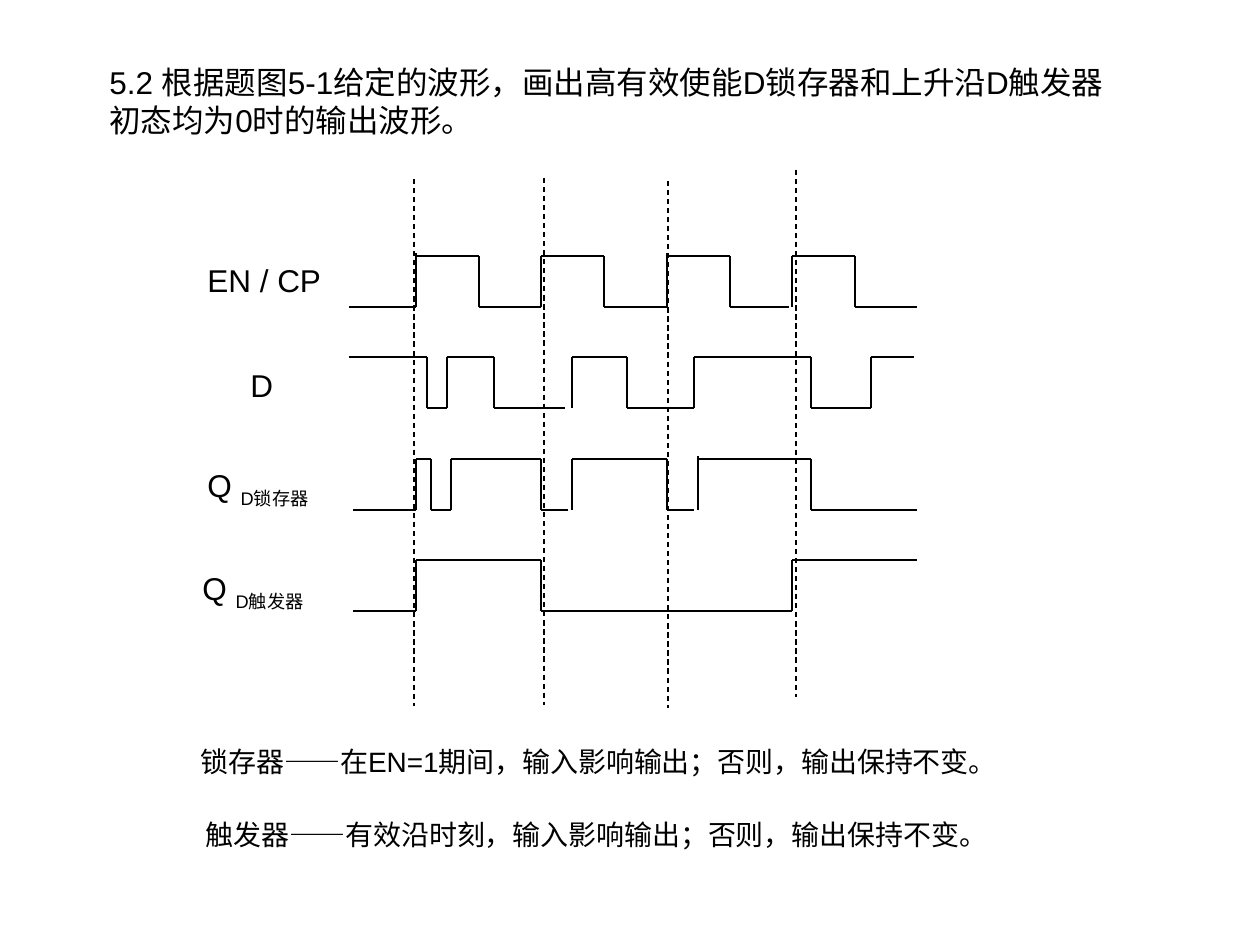
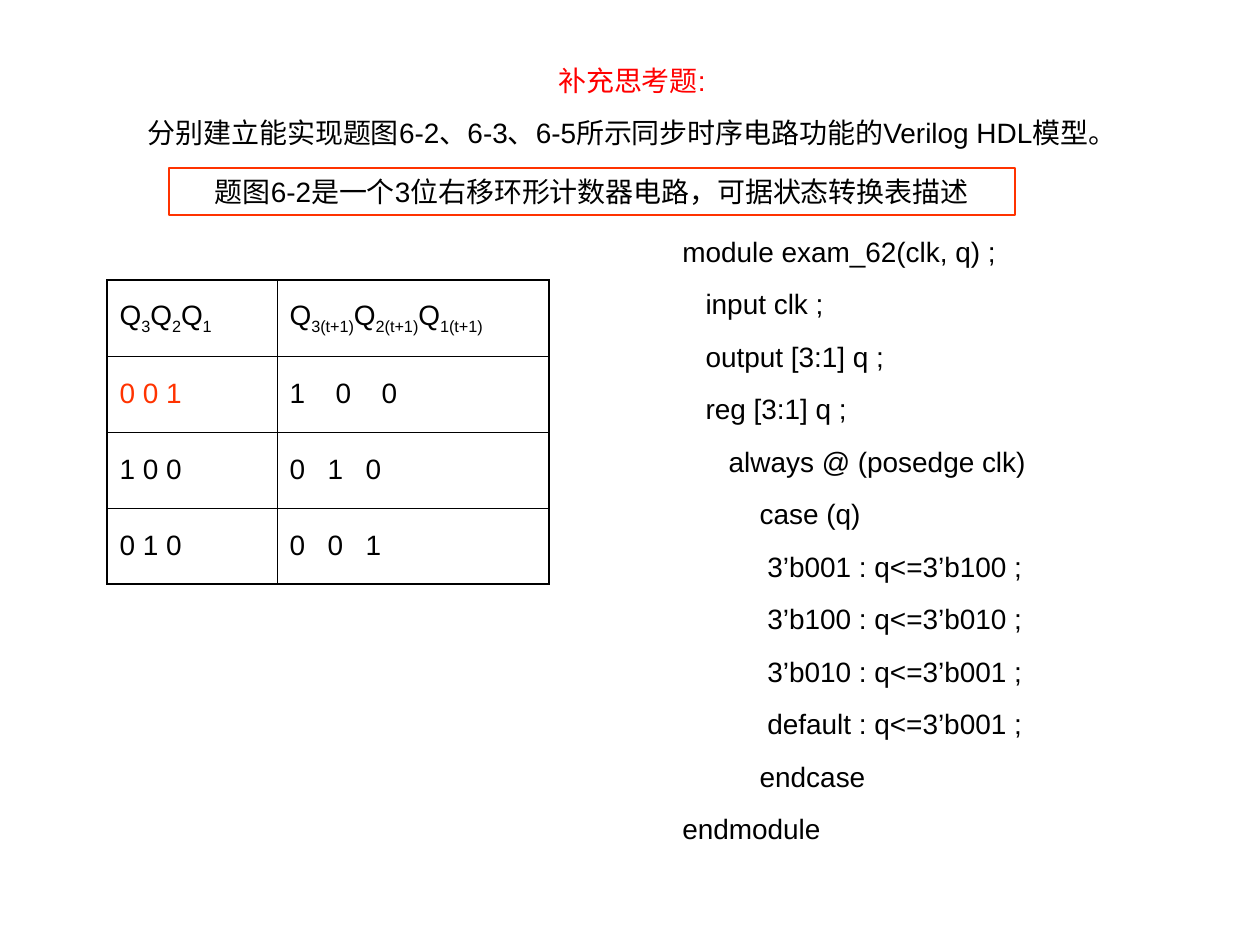
from lxml import etree
from pptx import Presentation, util as u
from pptx.dml.color import RGBColor
from pptx.enum import dml, shapes, text
from pptx.oxml.ns import qn

BLACK = RGBColor(0x00, 0x00, 0x00)
RED = RGBColor(0xFF, 0x00, 0x00)
ORANGE = RGBColor(0xFF, 0x33, 0x00)
FACE = "Arial"
EMU = 914400 / 126  # one px
MID = text.PP_ALIGN.CENTER

# Slide 1: words; in a tuple every second part is a subscript
TASK = "5.2 根据题图5-1给定的波形，画出高有效使能D锁存器和上升沿D触发器初态均为0时的输出波形。"
NOTES = [
    ((170, 738, 858, 47), "锁存器——在EN=1期间，输入影响输出；否则，输出保持不变。"),
    ((190, 811, 814, 47), "触发器——有效沿时刻，输入影响输出；否则，输出保持不变。"),
]
LABELS = [
    ((195, 255, 151, 50), "EN / CP"),
    ((238, 360, 63, 50), "D"),
    ((195, 460, 152, 55), ("Q ", "D锁存器")),
    ((190, 563, 152, 55), ("Q ", "D触发器")),
]

# Waves: edges flip the level; gaps give where a level stops short of an edge
HIGH = 51
RISE = 3  # how far a tall edge passes the high level
WAVES = [
    dict(top=256, level=0, start=349, end=917, gaps={792: 789}, tall=(416, 667),
         edges=[round(416 + 62.7 * i) for i in range(8)]),
    dict(top=357, level=1, start=349, end=914, gaps={572: 565}, tall=(),
         edges=[427, 447, 494, 572, 627, 694, 811, 871]),
    dict(top=459, level=0, start=353, end=917, gaps={572: 568, 698: 694}, tall=(698,),
         edges=[416, 431, 451, 541, 572, 667, 698, 811]),
    dict(top=560, level=0, start=353, end=917, gaps={}, tall=(),
         edges=[416, 541, 792]),
]
GUIDES = [(414, 179), (544, 178), (668, 181), (796, 170)]
GUIDE_LEN = 527

# Slide 2
HEAD = "补充思考题:"
GOAL = "分别建立能实现题图6-2、6-3、6-5所示同步时序电路功能的Verilog HDL模型。"
HINT = "题图6-2是一个3位右移环形计数器电路，可据状态转换表描述"
COLS = [170, 272]
ROW = 76
STATES = [  # now, next, tab step of the next state, colour of the current state
    (("Q", "3", "Q", "2", "Q", "1"),
     ("Q", "3(t+1)", "Q", "2(t+1)", "Q", "1(t+1)"), 0, BLACK),
    ("0 0 1", "1\t0\t0", 46, ORANGE),
    ("1 0 0", "0\t1\t0", 38, BLACK),
    ("0 1 0", "0\t0\t1", 38, BLACK),
]
CODE = """module exam_62(clk, q) ;
   input clk ;
   output [3:1] q ;
   reg [3:1] q ;
      always @ (posedge clk)
          case (q)
           3’b001 : q<=3’b100 ;
           3’b100 : q<=3’b010 ;
           3’b010 : q<=3’b001 ;
           default : q<=3’b001 ;
          endcase
endmodule""".split("\n")


def px(*vals):
    return [u.Emu(round(v * EMU)) for v in vals]


def style(obj, form):
    for key, val in form.items():
        setattr(obj, key, val)


def write(para, parts, size, color=BLACK):
    if isinstance(parts, str):
        parts = (parts,)
    for i, part in enumerate(parts):
        run = para.add_run()
        run.text = part
        style(run.font, dict(name=FACE, size=u.Pt(size)))
        run.font.color.rgb = color
        if i % 2:
            run._r.get_or_add_rPr().set("baseline", "-25000")


def fill_text(frame, lines, size, align=None):
    """Lines are (parts, colour) pairs, one paragraph each."""
    style(frame, dict(word_wrap=True, vertical_anchor=text.MSO_ANCHOR.TOP))
    for i, (parts, color) in enumerate(lines):
        para = frame.add_paragraph() if i else frame.paragraphs[0]
        para.alignment = align
        if i:
            para.space_before = u.Pt(10.8)
        write(para, parts, size, color)


def add_text(slide, box, lines, size, align=None):
    fill_text(slide.shapes.add_textbox(*px(*box)).text_frame, lines, size, align)


def add_line(slide, x1, y1, x2, y2, dash=None):
    line = slide.shapes.add_connector(shapes.MSO_CONNECTOR.STRAIGHT, *px(x1, y1, x2, y2))
    line.line.color.rgb = BLACK
    style(line.line, dict(width=u.Pt(0.75), dash_style=dash))
    etree.SubElement(line._element.spPr, qn("a:effectLst"))


def draw_wave(slide, top, level, start, end, gaps, tall, edges):
    x, low = start, top + HIGH
    for edge in edges:
        y = top if level else low
        add_line(slide, x, y, gaps.get(edge, edge), y)
        add_line(slide, edge, top - RISE * (edge in tall), edge, low)
        x, level = edge, 1 - level
    y = top if level else low
    add_line(slide, x, y, end, y)


def set_edges(cell, outer):
    """Thick lines on the outer sides, thin lines inside."""
    prop = cell._tc.get_or_add_tcPr()
    for i, side in enumerate("LRTB"):
        width = u.Pt(1.08 if side in outer else 0.45)
        line = etree.Element(qn("a:ln" + side), w=str(width))
        fill = etree.SubElement(line, qn("a:solidFill"))
        etree.SubElement(fill, qn("a:srgbClr"), val=str(BLACK))
        prop.insert(i, line)


def set_tabs(para, step):
    tabs = etree.SubElement(para._p.get_or_add_pPr(), qn("a:tabLst"))
    for pos in px(step, 2 * step):
        etree.SubElement(tabs, qn("a:tab"), pos=str(pos), algn="l")


def add_states(slide, left, top):
    rows = len(STATES)
    grid = slide.shapes.add_table(
        rows, 2, *px(left, top, sum(COLS), ROW * rows)).table
    style(grid, dict(first_row=False, horz_banding=False))
    for col, width in zip(grid.columns, px(*COLS)):
        col.width = width
    for r, (now, then, step, color) in enumerate(STATES):
        grid.rows[r].height = px(ROW)[0]
        for c, (parts, tint) in enumerate([(now, color), (then, BLACK)]):
            cell = grid.cell(r, c)
            cell.vertical_anchor = text.MSO_ANCHOR.MIDDLE
            cell.fill.background()
            set_edges(cell, "LR"[c] + "T" * (r == 0) + "B" * (r == rows - 1))
            para = cell.text_frame.paragraphs[0]
            if c and step:
                set_tabs(para, step)
            write(para, parts, 16, tint)


def build_waves(slide):
    add_text(slide, (97, 57, 1046, 88), [(TASK, BLACK)], 18)
    for wave in WAVES:
        draw_wave(slide, **wave)
    for x, y in GUIDES:
        add_line(slide, x, y, x, y + GUIDE_LEN, dml.MSO_LINE.DASH)
    for box, parts in LABELS:
        add_text(slide, box, [(parts, BLACK)], 18)
    for box, note in NOTES:
        add_text(slide, box, [(note, BLACK)], 16, MID)


def build_model(slide):
    add_text(slide, (101, 57, 1062, 97), [(HEAD, RED), (GOAL, BLACK)], 16, MID)
    # Framed hint
    hint = slide.shapes.add_shape(shapes.MSO_SHAPE.RECTANGLE, *px(169, 168, 846, 47))
    hint.shadow.inherit = False
    hint.fill.background()
    hint.line.color.rgb = ORANGE
    hint.line.width = u.Pt(0.75)
    fill_text(hint.text_frame, [(HINT, BLACK)], 16, MID)
    add_states(slide, 107, 280)
    add_text(slide, (670, 228, 428, 609), [(row, BLACK) for row in CODE], 16)


def main():
    deck = Presentation()
    style(deck, dict(slide_width=u.Inches(10), slide_height=u.Inches(7.5)))
    for build in (build_waves, build_model):
        build(deck.slides.add_slide(deck.slide_layouts[6]))
    deck.save("out.pptx")


if __name__ == "__main__":
    main()
